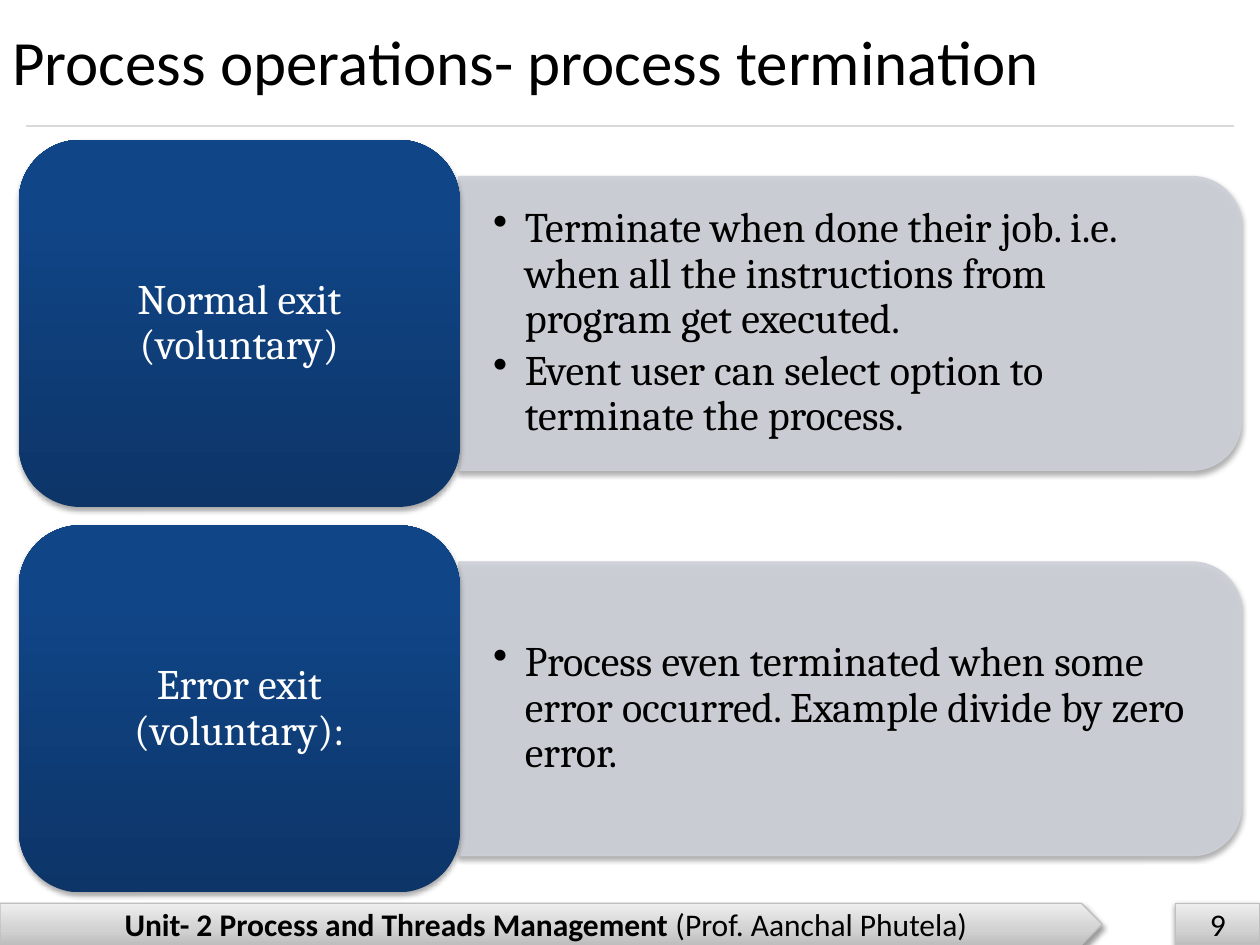
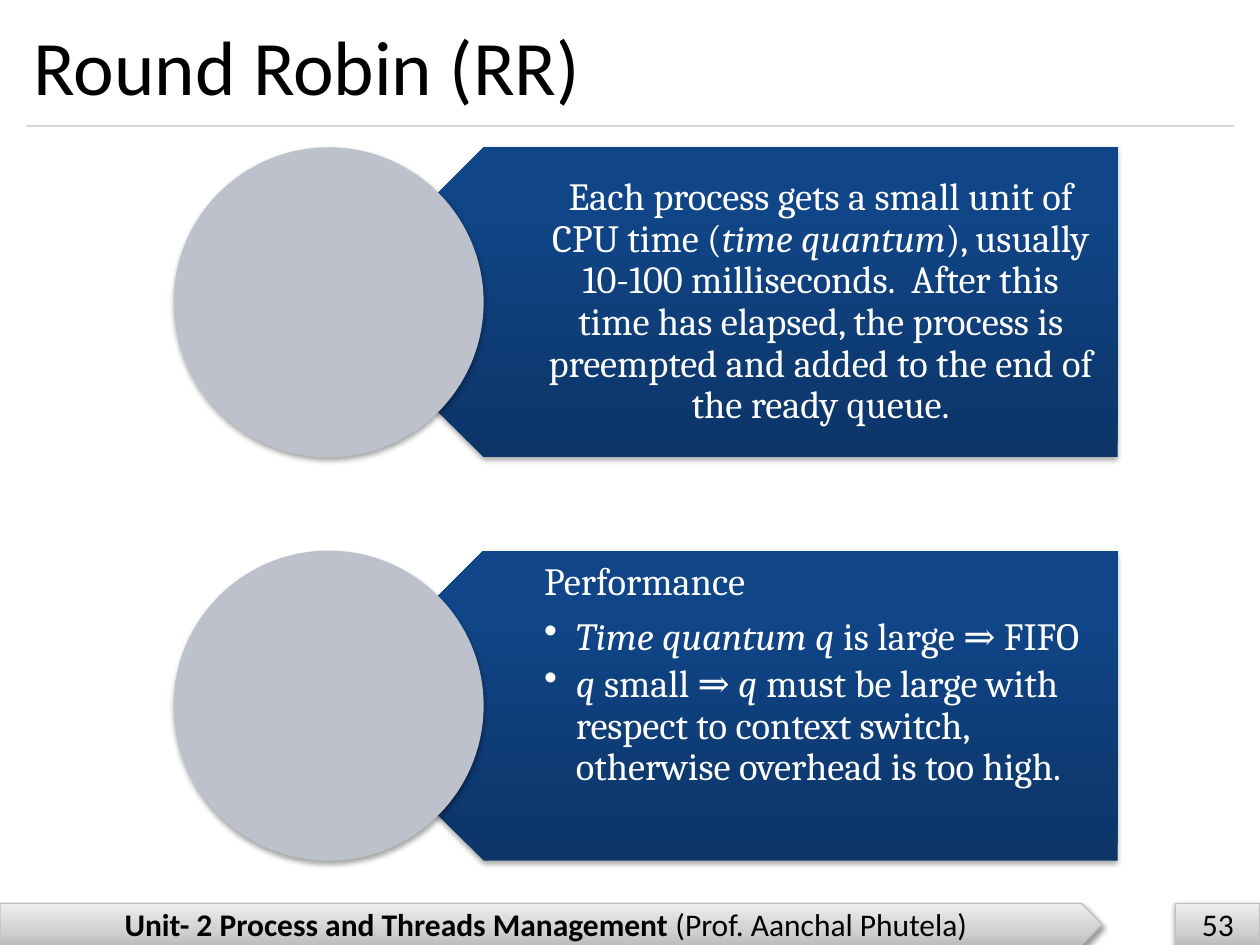
import copy
from dataclasses import dataclass
from typing import NamedTuple

import pptx
import pptx.dml.color
import pptx.enum.shapes
import pptx.enum.text
import pptx.oxml
import pptx.oxml.ns
import pptx.util

Cm = pptx.util.Cm
Pt = pptx.util.Pt
RGB = pptx.dml.color.RGBColor
Kind = pptx.enum.shapes.MSO_SHAPE
Align = pptx.enum.text.PP_ALIGN
Anchor = pptx.enum.text.MSO_ANCHOR
qn = pptx.oxml.ns.qn

BLACK = RGB(0x00, 0x00, 0x00)
WHITE = RGB(0xFF, 0xFF, 0xFF)
PANEL = RGB(0xCD, 0xD0, 0xD7)
DISC = RGB(0xBD, 0xC1, 0xCC)
EDGE = RGB(0xBF, 0xBF, 0xBF)
RULE = RGB(0xD9, 0xD9, 0xD9)
# Gradient stops run from the bottom up.
BLUES = ((0, RGB(0x0D, 0x35, 0x68)), (0.8, RGB(0x10, 0x45, 0x87)),
         (1, RGB(0x0E, 0x45, 0x8A)))
GREYS = ((0, RGB(0xBD, 0xBD, 0xBD)), (0.35, RGB(0xD1, 0xD1, 0xD1)),
         (1, RGB(0xEE, 0xEE, 0xEE)))

HEAD_FONT = "Calibri"
BODY_FONT = "Cambria"
INDENT = Cm(0.64)
WIDE, HIGH = 25.4, 19.05


class Box(NamedTuple):
    """Left, top, width and height in centimetres."""
    x: float
    y: float
    w: float
    h: float

    def cm(self) -> list:
        return [Cm(v) for v in self]


class Run(NamedTuple):
    text: str
    bold: bool = False
    slant: bool = False


@dataclass
class Para:
    runs: list[Run]
    dot: bool = False


@dataclass
class Topic:
    """A blue label with its list of points."""
    label: str
    points: list[str]


@dataclass
class Note:
    """The text on one arrow of the round robin slide."""
    paras: list[Para]
    align: int
    anchor: int


TOPICS = [
    Topic("Normal exit (voluntary)", [
        "Terminate when done their job. i.e. when all the instructions "
        "from program get executed.",
        "Event user can select option to terminate the process."]),
    Topic("Error exit (voluntary):", [
        "Process even terminated when some error occurred. "
        "Example divide by zero error."]),
]

NOTES = [
    Note([Para([
        Run("Each process gets a small unit of CPU time ("),
        Run("time quantum", slant=True),
        Run("), usually 10-100 milliseconds.  After this time has elapsed, the "
            "process is preempted and added to the end of the ready queue."),
    ])], Align.CENTER, Anchor.MIDDLE),
    Note([
        Para([Run("Performance")]),
        Para([Run("Time quantum q", slant=True),
              Run(" is large ⇒ FIFO")], dot=True),
        Para([Run("q ", slant=True), Run("small ⇒ "), Run("q ", slant=True),
              Run("must be large with respect to context switch, "
                  "otherwise overhead is too high.")], dot=True),
    ], Align.LEFT, Anchor.TOP),
]


def plain(text: str, dot: bool = False) -> Para:
    return Para([Run(text)], dot)


def write(shape, paras: list[Para], *, size: float, font: str = BODY_FONT,
          color: RGB = BLACK, align: int = Align.LEFT,
          anchor: int = Anchor.MIDDLE, pads: tuple | None = None,
          tight: bool = False) -> None:
    """Fill a shape with text; tight sets the closer body line spacing."""
    frame = shape.text_frame
    frame.word_wrap = True
    frame.vertical_anchor = anchor
    if pads:
        (frame.margin_left, frame.margin_top,
         frame.margin_right, frame.margin_bottom) = (Cm(p) for p in pads)
    for i, para in enumerate(paras):
        line = frame.add_paragraph() if i else frame.paragraphs[0]
        line.alignment = align
        if para.dot:
            props = line._p.get_or_add_pPr()
            props.set("marL", str(INDENT))
            props.set("indent", str(-INDENT))
            mark = pptx.oxml.parse_xml(
                f'<a:buChar {pptx.oxml.ns.nsdecls("a")} char="•"/>')
            props.append(mark)
        if tight:
            line.line_spacing = 0.9
            line.space_after = Pt(round(size * (0.15 if para.dot else 0.35), 1))
        for part in para.runs:
            run = line.add_run()
            run.text = part.text
            run.font.name = font
            run.font.size = Pt(size)
            run.font.bold = part.bold
            run.font.italic = part.slant
            run.font.color.rgb = color


def shade(shape, alpha: int, dist: float) -> None:
    """Give the shape a soft shadow straight below it."""
    shape.shadow.inherit = False
    glow = pptx.oxml.parse_xml(
        f'<a:outerShdw {pptx.oxml.ns.nsdecls("a")} blurRad="{Pt(3.1)}" '
        f'dist="{Pt(dist)}" dir="5400000" rotWithShape="0">'
        f'<a:srgbClr val="000000"><a:alpha val="{alpha * 1000}"/></a:srgbClr>'
        '</a:outerShdw>')
    shape._element.spPr.find(qn("a:effectLst")).append(glow)


def blend(shape, stops: tuple) -> None:
    """Fill with a three-stop gradient."""
    fill = shape.fill
    fill.gradient()
    fill.gradient_angle = 90
    marks = shape._element.spPr.find(".//" + qn("a:gsLst"))
    marks.append(copy.deepcopy(marks[0]))
    for stop, (place, color) in zip(fill.gradient_stops, stops):
        stop.color.rgb = color
        stop.position = place


def fade(fill, color: RGB, alpha: int) -> None:
    """Set a solid fill with the given opacity in percent."""
    fill.solid()
    fill.fore_color.rgb = color
    tint = fill._xPr.find(".//" + qn("a:srgbClr"))
    tint.append(pptx.oxml.parse_xml(
        f'<a:alpha {pptx.oxml.ns.nsdecls("a")} val="{alpha * 1000}"/>'))


def draw(slide, kind: int, box: Box, paint: RGB | tuple, *,
         edge: RGB | None = None, alpha: int = 35, dist: float = 1.8):
    """Add a shaded shape; paint is one colour or a set of stops."""
    shape = slide.shapes.add_shape(kind, *box.cm())
    if isinstance(paint, RGB):
        shape.fill.solid()
        shape.fill.fore_color.rgb = paint
    else:
        blend(shape, paint)
    if edge is None:
        shape.line.fill.background()
    else:
        shape.line.color.rgb = edge
        shape.line.width = Pt(0.75)
    shade(shape, alpha, dist)
    return shape


def start(deck, title: str, box: Box, size: float, page: int):
    """Add a slide with its title, rule and footer."""
    slide = deck.slides.add_slide(deck.slide_layouts[6])
    top, tall = 18.21, 0.84
    foot = [
        (Kind.PENTAGON, Box(0, top, 22.22, tall),
         [Run("Unit- 2 Process and Threads Management ", bold=True),
          Run("(Prof. Aanchal Phutela)")]),
        (Kind.RECTANGLE, Box(23.7, top, 1.7, tall), [Run(str(page))]),
    ]
    for kind, spot, runs in foot:
        band = draw(slide, kind, spot, GREYS, edge=EDGE, alpha=38, dist=1.6)
        write(band, [Para(runs)], size=18, font=HEAD_FONT, align=Align.CENTER)
    rule = slide.shapes.add_connector(
        pptx.enum.shapes.MSO_CONNECTOR.STRAIGHT,
        Cm(0.53), Cm(2.54), Cm(WIDE - 0.53), Cm(2.54))
    rule.line.color.rgb = RULE
    rule.line.width = Pt(0.75)
    rule._element.spPr.append(pptx.oxml.parse_xml(
        f'<a:effectLst {pptx.oxml.ns.nsdecls("a")}/>'))
    head = slide.shapes.add_textbox(*box.cm())
    write(head, [plain(title)], size=size, font=HEAD_FONT)
    return slide


def topic(slide, top: float, item: Topic) -> None:
    tall, left = 7.4, 9.25
    mid = top + tall / 2
    wide, deep = 15.77, 5.92
    # The panel is a tall shape turned a quarter, so its round ends face right.
    panel = draw(slide, Kind.ROUND_2_SAME_RECTANGLE,
                 Box(left + (wide - deep) / 2, mid - wide / 2, deep, wide),
                 PANEL, edge=PANEL)
    panel.rotation = 90
    for fill in (panel.fill, panel.line.fill):
        fade(fill, PANEL, 90)
    text = slide.shapes.add_textbox(*Box(left, mid - 2.67, 15.49, 5.33).cm())
    write(text, [plain(p, dot=True) for p in item.points], size=24,
          pads=(0.69, 0.36, 0.69, 0.36), tight=True)
    label = draw(slide, Kind.ROUNDED_RECTANGLE, Box(0.38, top, 8.89, tall), BLUES)
    write(label, [plain(item.label)], size=24, color=WHITE,
          align=Align.CENTER, tight=True)


def note(slide, top: float, item: Note) -> None:
    tall = 6.25
    arrow = draw(slide, Kind.PENTAGON, Box(6.63, top, 15.9, tall), BLUES)
    arrow._element.spPr.find(qn("a:xfrm")).set("flipH", "1")
    text = slide.shapes.add_textbox(*Box(8.2, top, 14.35, tall).cm())
    write(text, item.paras, size=22, color=WHITE, align=item.align,
          anchor=item.anchor, pads=(2.77, 0.23, 0.43, 0.23), tight=True)
    draw(slide, Kind.OVAL, Box(3.5, top, tall, tall), DISC)


def main() -> None:
    deck = pptx.Presentation()
    deck.slide_width, deck.slide_height = Cm(WIDE), Cm(HIGH)

    slide = start(deck, "Process operations- process termination",
                  Box(0, 0.1, 24.33, 2.24), 36, 9)
    for i, item in enumerate(TOPICS):
        topic(slide, 2.82 + i * 7.77, item)

    slide = start(deck, "Round Robin (RR)", Box(0.43, -0.08, 21.89, 2.77), 44, 53)
    for i, item in enumerate(NOTES):
        note(slide, 2.97 + i * 8.13, item)

    deck.save("out.pptx")


if __name__ == "__main__":
    main()
